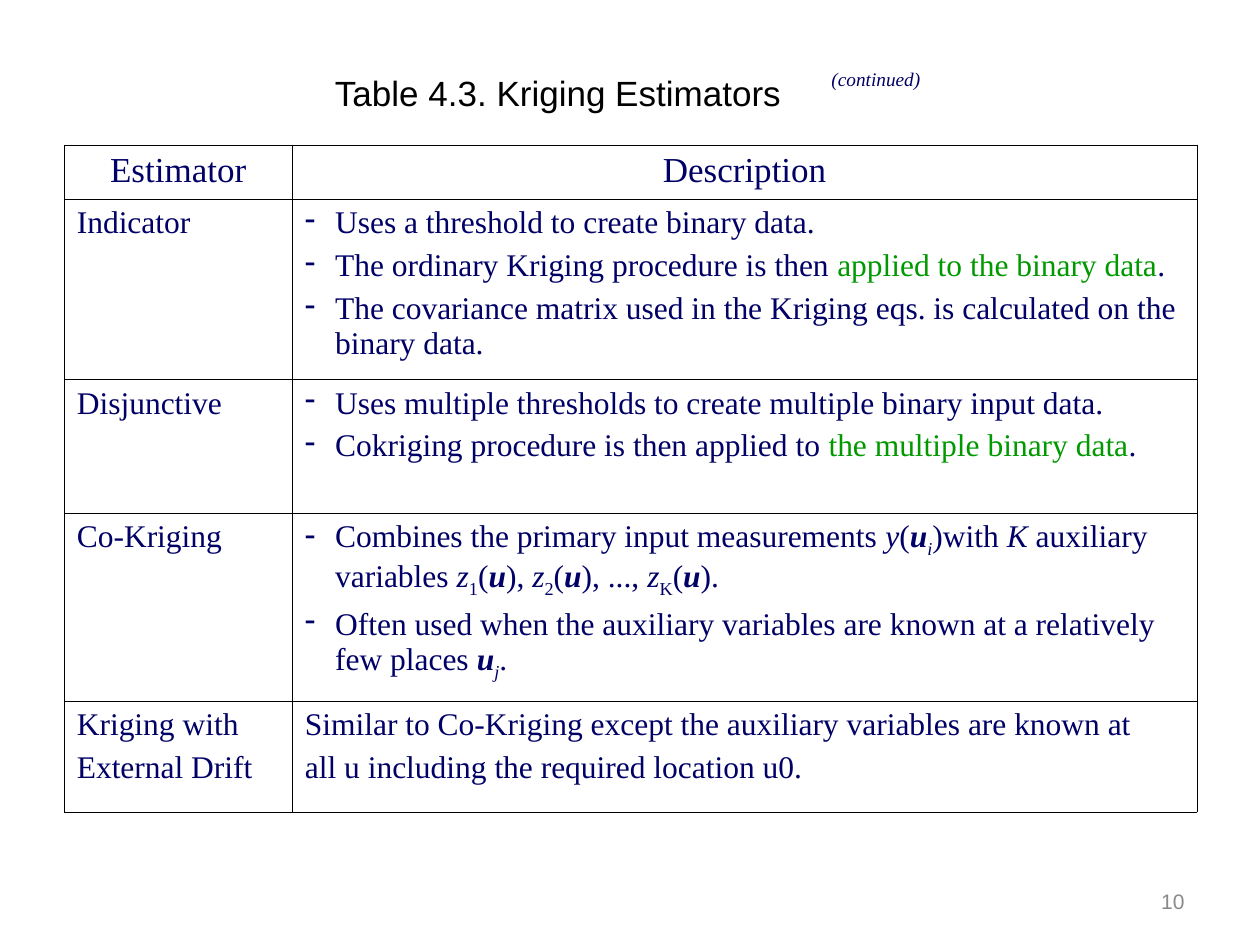
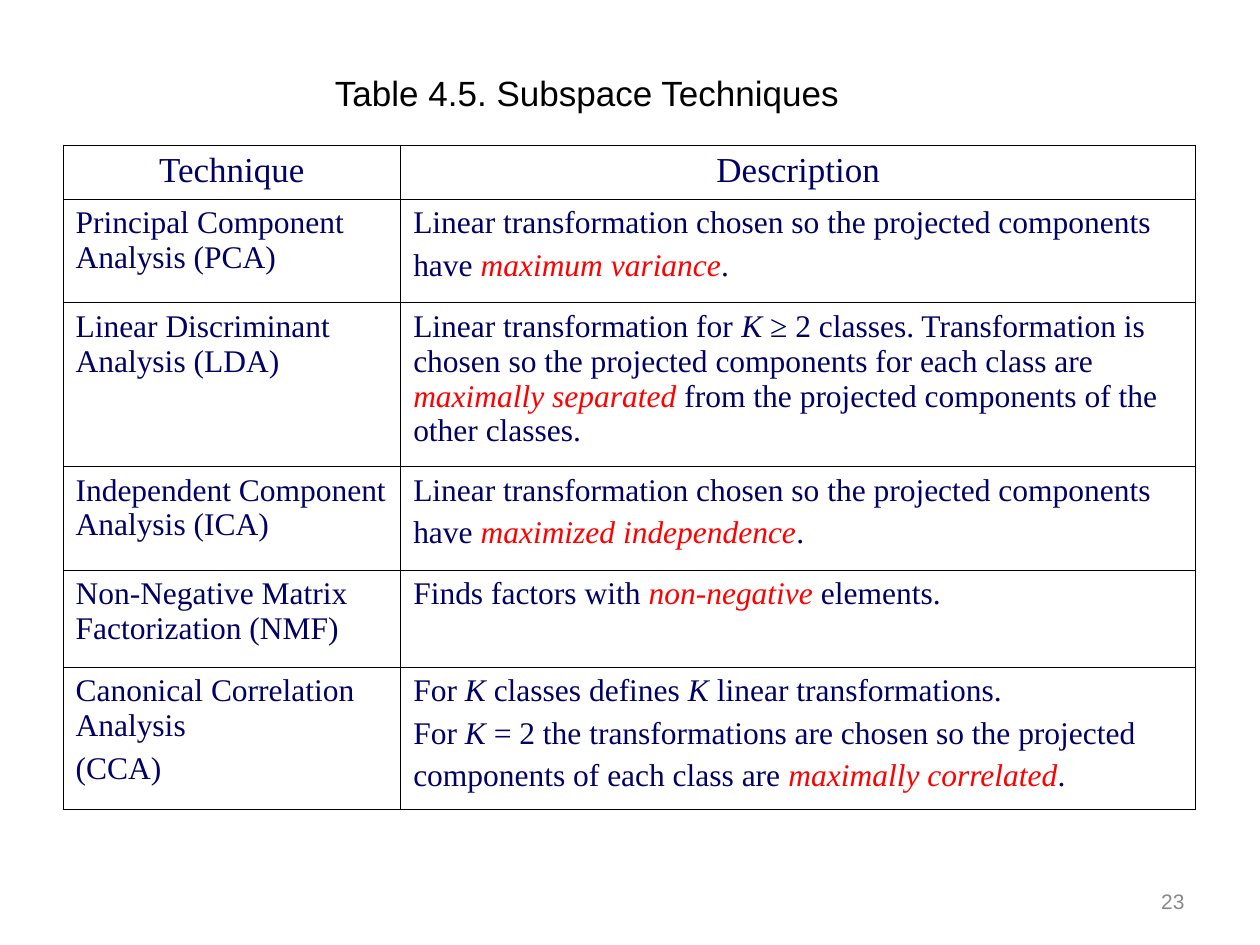
import dataclasses

import lxml.etree
import pptx
import pptx.dml.color
import pptx.enum.text
import pptx.oxml.ns
import pptx.util

ALIGN = pptx.enum.text.PP_ALIGN
ANCHOR = pptx.enum.text.MSO_ANCHOR


@dataclasses.dataclass(frozen=True)
class Theme:
    navy: str = "000066"
    green: str = "009900"
    red: str = "FF0000"
    black: str = "000000"
    gray: str = "898989"
    sans: str = "Arial"
    serif: str = "Times New Roman"
    title_size: float = 20
    body_size: float = 18
    number_size: float = 12
    note_size: float = 11
    paragraph_gap: float = 4.5
    border_width: float = 0.45
    bullet_indent: float = 0.24


THEME = Theme()


def styled(text, **look):
    return text, look


def italic(text):
    return styled(text, italic=True)


def vector(text):
    return styled(text, bold=True, italic=True)


def subscript(text, **look):
    return styled(text, baseline=-25000, **look)


def green(text):
    return styled(text, color=THEME.green)


def red(text):
    return styled(text, color=THEME.red, italic=True)


def add_child(parent, tag, **attributes):
    return lxml.etree.SubElement(parent, pptx.oxml.ns.qn(tag), attributes)


def add_span(para, text, font, size, color, bold=False, italic=False, baseline=None):
    span = para.add_run()
    span.text = text
    span.font.name = font
    span.font.size = pptx.util.Pt(size)
    span.font.color.rgb = pptx.dml.color.RGBColor.from_string(color)
    span.font.bold = bold
    span.font.italic = italic
    if baseline:
        span._r.get_or_add_rPr().set("baseline", str(baseline))


def write(frame, paragraphs, align=ALIGN.LEFT, bullet=None, line_spacing=None, **base):
    for index, content in enumerate(paragraphs):
        para = frame.add_paragraph() if index else frame.paragraphs[0]
        para.alignment = align
        if line_spacing:
            para.line_spacing = line_spacing
        if index:
            para.space_before = pptx.util.Pt(THEME.paragraph_gap)
        if bullet:
            indent = pptx.util.Inches(THEME.bullet_indent)
            properties = para._p.get_or_add_pPr()
            properties.set("marL", str(indent))
            properties.set("indent", str(-indent))
            bullet_color = add_child(properties, "a:buClr")
            add_child(bullet_color, "a:srgbClr", val=THEME.navy)
            add_child(properties, "a:buChar", char=bullet)
        for piece in [content] if isinstance(content, str) else content:
            text, look = styled(piece) if isinstance(piece, str) else piece
            add_span(para, text, **{**base, **look})


class Deck:
    columns = 20
    rows = 15

    def __init__(self, theme):
        self.theme = theme
        self.deck = pptx.Presentation()
        self.deck.slide_width = pptx.util.Inches(10)
        self.deck.slide_height = pptx.util.Inches(7.5)
        self.page = None

    def across(self, count):
        return round(self.deck.slide_width * count / self.columns)

    def down(self, count):
        return round(self.deck.slide_height * count / self.rows)

    def add_text(self, left, top, width, height, text, anchor=ANCHOR.TOP, **look):
        box = self.page.shapes.add_textbox(
            self.across(left), self.down(top), self.across(width), self.down(height)
        )
        box.text_frame.word_wrap = True
        box.text_frame.vertical_anchor = anchor
        write(box.text_frame, [text], **look)

    def add_page(self, title, number):
        theme = self.theme
        self.page = self.deck.slides.add_slide(self.deck.slide_layouts[6])
        self.add_text(14.34, 13.9, 4.66, 0.8, number, anchor=ANCHOR.MIDDLE, align=ALIGN.RIGHT,
                      font=theme.sans, size=theme.number_size, color=theme.gray)
        self.add_text(5.12, 1.04, 10.16, 1.26, title, align=ALIGN.JUSTIFY,
                      font=theme.sans, size=theme.title_size, color=theme.black)

    def add_note(self, text):
        theme = self.theme
        self.add_text(13, 1.04, 5.36, 0.6, text, line_spacing=0.8, italic=True,
                      font=theme.serif, size=theme.note_size, color=theme.navy)

    def add_borders(self, cell):
        properties = cell._tc.get_or_add_tcPr()
        for side in ("a:lnL", "a:lnR", "a:lnT", "a:lnB"):
            line = add_child(properties, side, w=str(pptx.util.Pt(self.theme.border_width)))
            add_child(add_child(line, "a:solidFill"), "a:srgbClr", val=self.theme.black)

    def add_table(self, left, top, widths, heights, headings, entries):
        theme = self.theme
        table = self.page.shapes.add_table(
            len(heights), len(widths), self.across(left), self.down(top),
            self.across(sum(widths)), self.down(sum(heights)),
        ).table
        table.first_row = False
        table.horz_banding = False
        for column, width in zip(table.columns, widths):
            column.width = self.across(width)
        for row, height in zip(table.rows, heights):
            row.height = self.down(height)
        body = dict(size=theme.body_size)
        header = dict(size=theme.title_size, align=ALIGN.CENTER)
        lines = [([[heading] for heading in headings], None)]
        lines += [((names, description), bullet) for names, description, bullet in entries]
        for row_index, (contents, bullet) in enumerate(lines):
            for column_index, content in enumerate(contents):
                cell = table.cell(row_index, column_index)
                self.add_borders(cell)
                cell.fill.background()
                write(cell.text_frame, content, bullet=bullet if column_index else None,
                      font=theme.serif, color=theme.navy, **(body if row_index else header))

    def save(self):
        self.deck.save("out.pptx")


def add_kriging_page(deck):
    deck.add_page("Table 4.3. Kriging Estimators", "10")
    at_u = ["(", vector("u")]
    entries = [
        (["Indicator"], [
            "Uses a threshold to create binary data.",
            ["The ordinary Kriging procedure is then ", green("applied to the binary data"), "."],
            "The covariance matrix used in the Kriging eqs. is calculated on the binary data.",
        ], "-"),
        (["Disjunctive"], [
            "Uses multiple thresholds to create multiple binary input data.",
            ["Cokriging procedure is then applied to ", green("the multiple binary data"), "."],
        ], "-"),
        (["Co-Kriging"], [
            ["Combines the primary input measurements ", italic("y"), *at_u,
             subscript("i", italic=True), ")with ", italic("K"), " auxiliary variables ",
             italic("z"), subscript("1"), *at_u, "), ",
             italic("z"), subscript("2"), *at_u, "), ..., ",
             italic("z"), subscript("K"), *at_u, ")."],
            ["Often used when the auxiliary variables are known at a relatively few places ",
             vector("u"), subscript("j", italic=True), "."],
        ], "-"),
        (["Kriging with", "External Drift"], [
            "Similar to Co-Kriging except the auxiliary variables are known at",
            "all u including the required location u0.",
        ], None),
    ]
    deck.add_table(1.02, 2.3, [3.62, 14.36], [0.86, 2.86, 2.12, 2.98, 1.76],
                   ["Estimator", "Description"], entries)
    deck.add_note("(continued)")


def add_subspace_page(deck):
    deck.add_page("Table 4.5. Subspace Techniques", "23")
    chosen = "Linear transformation chosen so the projected components"
    entries = [
        (["Principal Component Analysis (PCA)"],
         [chosen, ["have ", red("maximum variance"), "."]], None),
        (["Linear Discriminant Analysis (LDA)"], [
            ["Linear transformation for ", italic("K"),
             " ≥ 2 classes. Transformation is chosen so the projected components"
             " for each class are ", red("maximally separated "),
             "from the projected components of the other classes."],
        ], None),
        (["Independent Component Analysis (ICA)"],
         [chosen, ["have ", red("maximized independence"), "."]], None),
        (["Non-Negative Matrix Factorization (NMF)"],
         [["Finds factors with ", red("non-negative"), " elements."]], None),
        (["Canonical Correlation Analysis", "(CCA)"], [
            ["For ", italic("K"), " classes defines ", italic("K"), " linear transformations."],
            ["For ", italic("K"), " = 2 the transformations are chosen so the projected"],
            ["components of each class are ", red("maximally correlated"), "."],
        ], None),
    ]
    deck.add_table(1, 2.3, [5.36, 12.62], [0.86, 1.64, 2.6, 1.64, 1.54, 2.26],
                   ["Technique", "Description"], entries)


def main():
    deck = Deck(THEME)
    add_kriging_page(deck)
    add_subspace_page(deck)
    deck.save()


if __name__ == "__main__":
    main()
